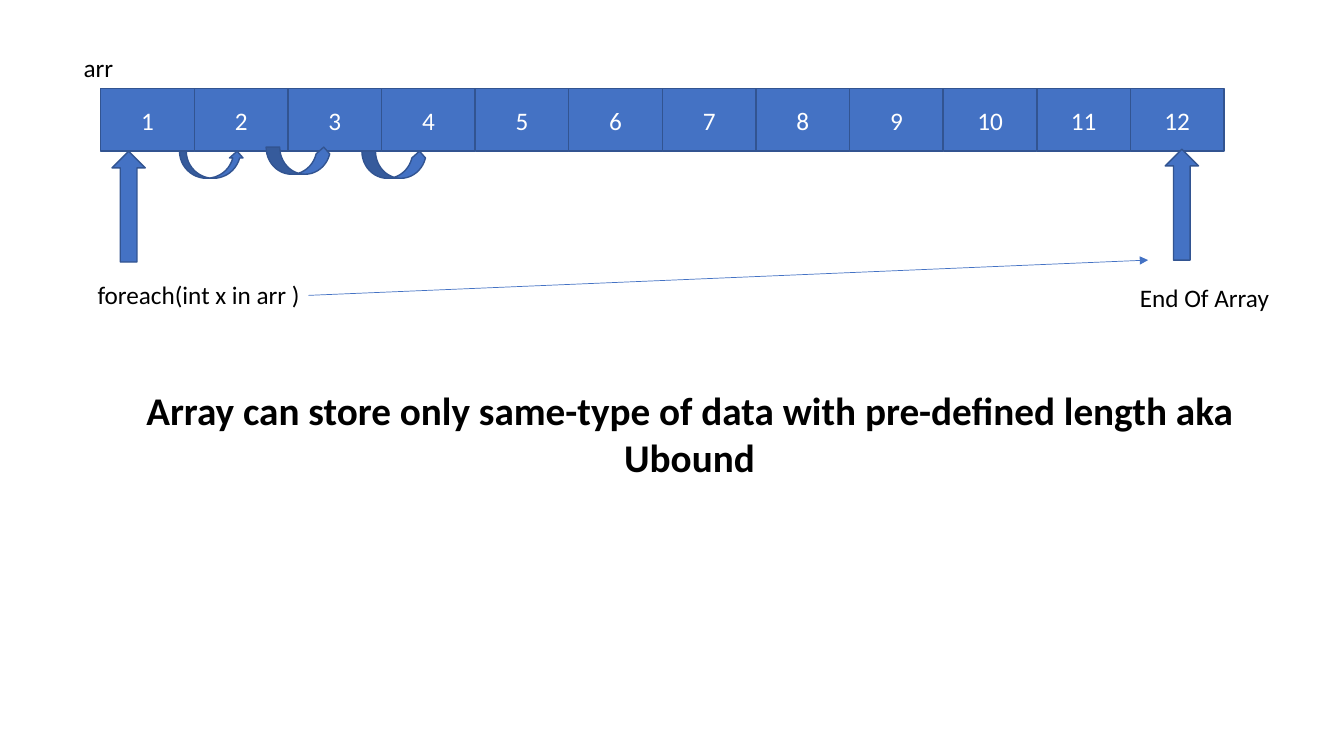
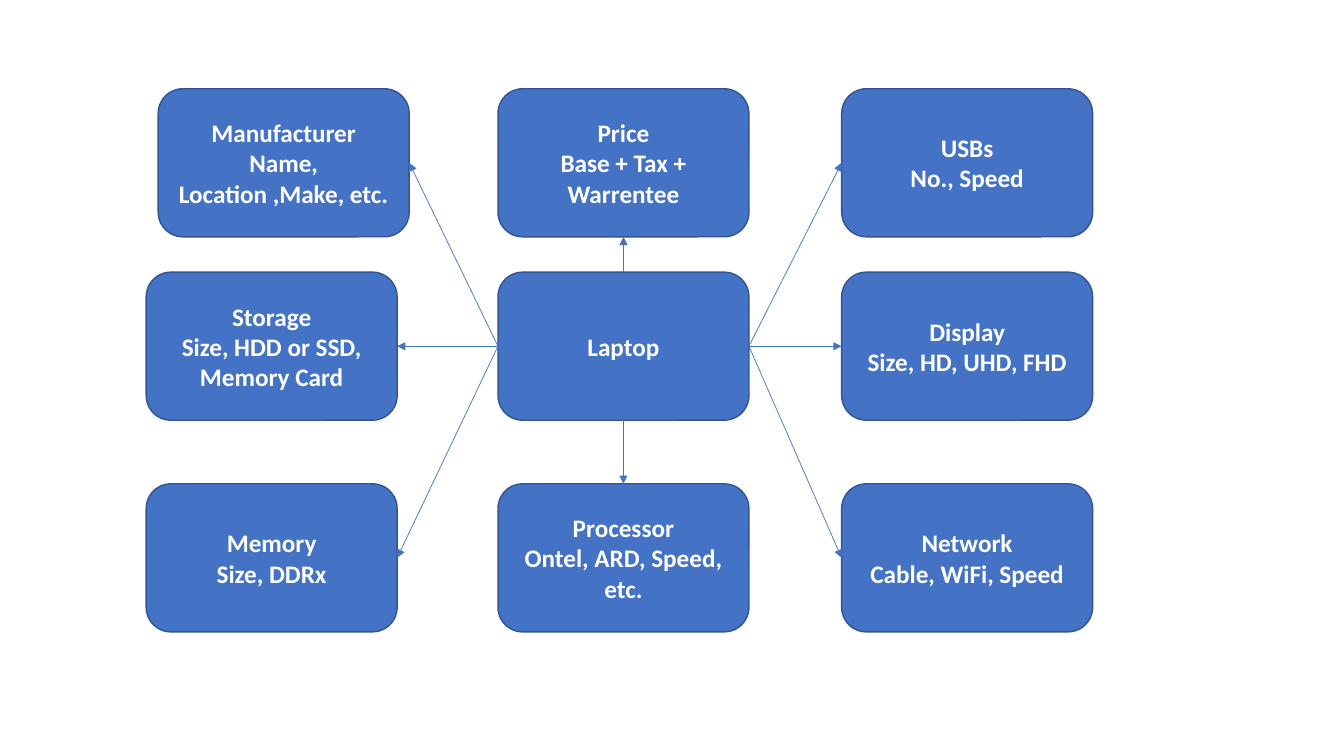
from dataclasses import dataclass

from lxml.etree import SubElement
from pptx import Presentation
from pptx.dml.color import RGBColor
from pptx.enum.shapes import MSO_CONNECTOR, MSO_SHAPE
from pptx.enum.text import MSO_ANCHOR, PP_ALIGN
from pptx.oxml.ns import qn
from pptx.util import Pt


@dataclass(frozen=True)
class Theme:
    font: str = "Calibri"
    blue: RGBColor = RGBColor(0x44, 0x72, 0xC4)
    outline: RGBColor = RGBColor(0x32, 0x54, 0x91)
    white: RGBColor = RGBColor(0xFF, 0xFF, 0xFF)
    black: RGBColor = RGBColor(0x00, 0x00, 0x00)
    body_size: int = 18
    statement_size: int = 28
    outline_width: float = 1
    arrow_width: float = 0.5


THEME = Theme()


def add_box(slide, preset, left, top, width, height, lines=(), bold=False,
            size=THEME.body_size):
    """Add a blue preset shape, or a plain text box when preset is None."""
    bounds = Pt(left), Pt(top), Pt(width), Pt(height)
    if preset is None:
        shape = slide.shapes.add_textbox(*bounds)
    else:
        shape = slide.shapes.add_shape(preset, *bounds)
        shape.shadow.inherit = False
        shape.fill.solid()
        shape.fill.fore_color.rgb = THEME.blue
        shape.line.color.rgb = THEME.outline
        shape.line.width = Pt(THEME.outline_width)
    frame = shape.text_frame
    frame.word_wrap = True
    frame.vertical_anchor = MSO_ANCHOR.TOP if preset is None else MSO_ANCHOR.MIDDLE
    frame.text = "\n".join(lines)
    for paragraph in frame.paragraphs:
        paragraph.alignment = PP_ALIGN.LEFT if preset is None else PP_ALIGN.CENTER
        paragraph.font.name = THEME.font
        paragraph.font.size = Pt(size)
        paragraph.font.bold = bold
        paragraph.font.color.rgb = THEME.black if preset is None else THEME.white
    return shape


def add_arrow(slide, start=(0, 0), end=(0, 0)):
    connector = slide.shapes.add_connector(
        MSO_CONNECTOR.STRAIGHT, *(Pt(value) for value in (*start, *end)))
    connector.line.color.rgb = THEME.blue
    connector.line.width = Pt(THEME.arrow_width)
    SubElement(connector.line._get_or_add_ln(), qn("a:tailEnd"), type="triangle")
    SubElement(connector._element.spPr, qn("a:effectLst"))
    return connector


presentation = Presentation()
presentation.slide_width = Pt(960)
presentation.slide_height = Pt(540)
blank_layout = presentation.slide_layouts[6]

# Slide 1: walking through an array
slide = presentation.slides.add_slide(blank_layout)

CELL_COUNT = 12
ARRAY_LEFT, ARRAY_TOP = 72, 63.4
CELL_WIDTH, CELL_HEIGHT = 66.86, 44.6
for index in range(CELL_COUNT):
    add_box(slide, MSO_SHAPE.RECTANGLE, ARRAY_LEFT + index * CELL_WIDTH, ARRAY_TOP,
            CELL_WIDTH, CELL_HEIGHT, [str(index + 1)])

for left, top in ((80, 108), (832.3, 106.6)):
    add_box(slide, MSO_SHAPE.UP_ARROW, left, top, 23.8, 79.2)

for left, top, thickness in ((128.2, 108, 0.25), (190.1, 105.1, 0.5), (258.5, 108, 0.5)):
    step = add_box(slide, MSO_SHAPE.CURVED_UP_ARROW, left, top, 46, 19.4)
    step.adjustments[0] = thickness

for text, left, top, width in (
    ("arr", 52.6, 33.8, 54.7),
    ("foreach(int x in arr )", 62.6, 195.8, 363.6),
    ("End Of Array", 807.1, 198, 108.7),
):
    add_box(slide, None, left, top, width, 29, [text])

add_arrow(slide, (220.3, 211), (820.1, 185.8))

statement = add_box(
    slide, None, 52.6, 272.2, 879.8, 75,
    ["Array can store only same-type of data with pre-defined length aka Ubound"],
    bold=True, size=THEME.statement_size)
statement.text_frame.paragraphs[0].alignment = PP_ALIGN.CENTER

# Slide 2: the parts of a laptop
slide = presentation.slides.add_slide(blank_layout)

BOX_WIDTH, BOX_HEIGHT = 179.3, 105.8
LEFT, MIDDLE, RIGHT = 104.4, 355.7, 601.2
TOP, CENTRE, BOTTOM = 63.4, 194.4, 345.6
# Connection sites of a rounded rectangle
SITE_TOP, SITE_LEFT, SITE_BOTTOM, SITE_RIGHT = range(4)

laptop = add_box(slide, MSO_SHAPE.ROUNDED_RECTANGLE, MIDDLE, CENTRE,
                 BOX_WIDTH, BOX_HEIGHT, ["Laptop"], bold=True)

# Each part: left, top, site on the laptop, site on the part, lines
parts = (
    (LEFT + 8.6, TOP, SITE_LEFT, SITE_RIGHT, ("Manufacturer", "Name, Location ,Make, etc.")),
    (LEFT, CENTRE, SITE_LEFT, SITE_RIGHT, ("Storage", "Size, HDD or SSD, Memory Card")),
    (LEFT, BOTTOM, SITE_LEFT, SITE_RIGHT, ("Memory", "Size, DDRx")),
    (MIDDLE, BOTTOM, SITE_BOTTOM, SITE_TOP, ("Processor", "Ontel, ARD, Speed, etc.")),
    (RIGHT, BOTTOM, SITE_RIGHT, SITE_LEFT, ("Network", "Cable, WiFi, Speed")),
    (RIGHT, CENTRE, SITE_RIGHT, SITE_LEFT, ("Display", "Size, HD, UHD, FHD")),
    (RIGHT, TOP, SITE_RIGHT, SITE_LEFT, ("USBs", "No., Speed")),
    (MIDDLE, TOP, SITE_TOP, SITE_BOTTOM, ("Price", "Base + Tax + Warrentee")),
)
for left, top, laptop_site, part_site, lines in parts:
    part = add_box(slide, MSO_SHAPE.ROUNDED_RECTANGLE, left, top,
                   BOX_WIDTH, BOX_HEIGHT, lines, bold=True)
    arrow = add_arrow(slide)
    arrow.begin_connect(laptop, laptop_site)
    arrow.end_connect(part, part_site)

presentation.save("out.pptx")
